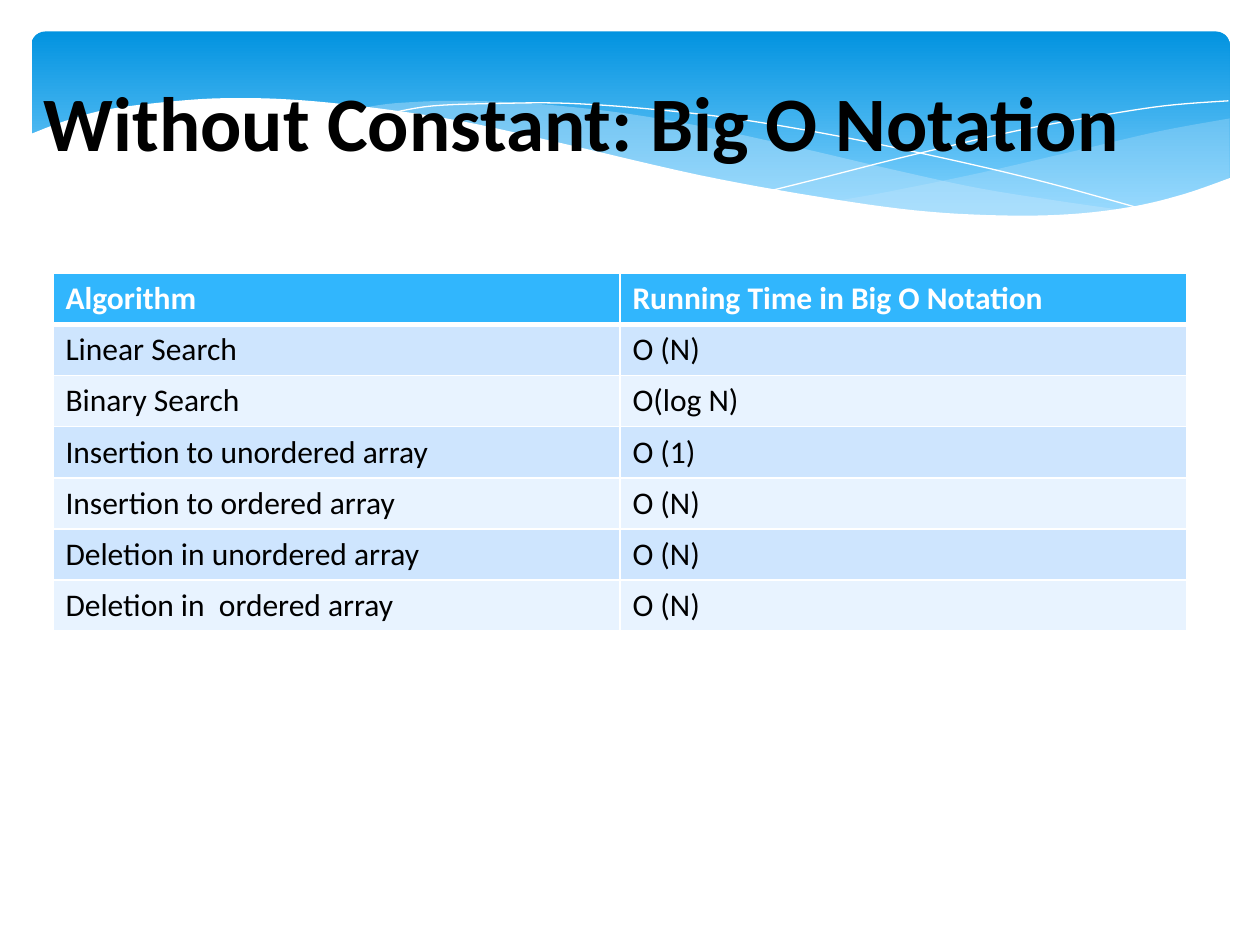
from dataclasses import dataclass
from typing import Optional

from lxml.etree import SubElement
from pptx import Presentation
from pptx.dml.color import RGBColor
from pptx.enum.shapes import MSO_SHAPE
from pptx.enum.text import MSO_ANCHOR
from pptx.oxml.ns import qn
from pptx.util import Inches, Pt

Point = tuple[float, float]


@dataclass(frozen=True)
class Theme:
    font: str = "Calibri"
    title_size: int = 44
    table_size: int = 18
    text: str = "000000"
    white: str = "FFFFFF"
    banner_top: str = "0293E0"
    banner_bottom: str = "83D3FE"
    veil: str = "C6E7FC"
    header: str = "31B6FD"
    bands: tuple[str, str] = ("CEE5FE", "E8F3FF")


@dataclass(frozen=True)
class Wave:
    """An outline made of smooth curves; filled and closed, or a hairline without fill."""
    curves: tuple[tuple[Point, ...], ...]
    fill: Optional[str] = None
    opacity: int = 100


THEME = Theme()

WAVES = (
    Wave((((9.76, 0.94), (9.21, 1.04), (8.61, 1.18), (7.79, 1.37), (7.06, 1.52), (6.61, 1.6)),
          ((6.61, 1.6), (7.19, 1.67), (7.69, 1.71), (8.14, 1.72), (8.63, 1.7), (9.05, 1.63),
           (9.42, 1.54), (9.76, 1.41))), THEME.veil, 29),
    Wave((((8.93, 1.67), (8.37, 1.59), (7.75, 1.49), (7.06, 1.34), (6.29, 1.16), (5.55, 1),
           (4.89, 0.89), (4.2, 0.82), (3.61, 0.8), (3.13, 0.82), (2.86, 0.86)),
          ((2.86, 0.86), (3.42, 0.94), (4.04, 1.06), (4.91, 1.26), (5.66, 1.43), (6.34, 1.56),
           (6.95, 1.65), (7.48, 1.7), (8.07, 1.73), (8.48, 1.72), (8.93, 1.67))), THEME.veil, 40),
    Wave((((3.09, 0.9), (3.44, 0.84), (4.01, 0.82), (4.5, 0.82), (5.1, 0.86), (5.82, 0.94),
           (6.65, 1.08), (7.6, 1.28), (8.31, 1.45), (9.07, 1.66)),)),
    Wave((((6.13, 1.51), (6.53, 1.41), (7.2, 1.24), (8.06, 1.04), (8.66, 0.93), (9.24, 0.84),
           (9.75, 0.8)),)),
    Wave((((9.77, 1.41), (9.4, 1.54), (8.99, 1.64), (8.5, 1.7), (7.93, 1.71), (7.26, 1.67),
           (6.48, 1.56), (5.55, 1.39), (4.47, 1.14), (3.65, 0.96), (2.92, 0.85), (2.3, 0.79),
           (1.77, 0.78), (1.32, 0.81), (0.85, 0.87), (0.52, 0.96), (0.23, 1.07)),
          ((0.23, 2.24), (9.77, 2.24))), THEME.white),
)

ROWS = (
    ("Algorithm", "Running Time in Big O Notation"),
    ("Linear Search", "O (N)"),
    ("Binary Search", "O(log N)"),
    ("Insertion to unordered array", "O (1)"),
    ("Insertion to ordered array", "O (N)"),
    ("Deletion in unordered array", "O (N)"),
    ("Deletion in  ordered array", "O (N)"),
)


def rgb(color: str) -> RGBColor:
    return RGBColor.from_string(color)


def format_text(frame, text: str, size: int, color: str, bold: bool) -> None:
    frame.text = text
    font = frame.paragraphs[0].runs[0].font
    for name, value in {"name": THEME.font, "size": Pt(size), "bold": bold}.items():
        setattr(font, name, value)
    font.color.rgb = rgb(color)


def smooth(anchors: tuple[Point, ...], steps: int = 6) -> list[Point]:
    """Sample a Catmull-Rom spline through the anchors."""
    padded = (anchors[0], *anchors, anchors[-1])
    samples = [anchors[0]]
    for before, start, end, after in zip(padded, padded[1:], padded[2:], padded[3:]):
        for step in range(1, steps + 1):
            t = step / steps
            samples.append(tuple(
                (2 * b + (c - a) * t + (2 * a - 5 * b + 4 * c - d) * t ** 2
                 + (3 * b - a - 3 * c + d) * t ** 3) / 2
                for a, b, c, d in zip(before, start, end, after)))
    return samples


def draw_banner(slide) -> None:
    banner = slide.shapes.add_shape(MSO_SHAPE.ROUNDED_RECTANGLE, Inches(0.25), Inches(0.25),
                                    Inches(9.51), Inches(1.56))
    banner.adjustments[0] = 0.07
    banner.shadow.inherit = False
    banner.line.fill.background()
    banner.fill.gradient()
    banner.fill.gradient_angle = 270
    stops = ((0, THEME.banner_top), (0.9, THEME.banner_bottom))
    for stop, (position, color) in zip(banner.fill.gradient_stops, stops):
        stop.position = position
        stop.color.rgb = rgb(color)


def draw_wave(slide, wave: Wave) -> None:
    outline = [(Inches(x), Inches(y)) for curve in wave.curves for x, y in smooth(curve)]
    builder = slide.shapes.build_freeform(*outline[0])
    builder.add_line_segments(outline[1:], close=wave.fill is not None)
    shape = builder.convert_to_shape()
    shape.shadow.inherit = False
    if wave.fill is None:
        shape.fill.background()
        shape.line.color.rgb = rgb(THEME.white)
        shape.line.width = Pt(0)
        return
    shape.line.fill.background()
    shape.fill.solid()
    shape.fill.fore_color.rgb = rgb(wave.fill)
    if wave.opacity < 100:
        color = shape.fill._xPr.find(qn("a:solidFill")).find(qn("a:srgbClr"))
        SubElement(color, qn("a:alpha"), val=str(wave.opacity * 1000))


def draw_title(slide, text: str) -> None:
    title = slide.shapes.add_textbox(Inches(0.25), Inches(0.33), Inches(9), Inches(1.25))
    frame = title.text_frame
    frame.word_wrap = True
    frame.vertical_anchor = MSO_ANCHOR.MIDDLE
    format_text(frame, text, THEME.title_size, THEME.text, True)


def set_borders(cell, widths: dict[str, int]) -> None:
    properties = cell._tc.get_or_add_tcPr()
    for side, width in widths.items():
        border = SubElement(properties, qn(f"a:ln{side}"), w=str(Pt(width)))
        SubElement(SubElement(border, qn("a:solidFill")), qn("a:srgbClr"), val=THEME.white)


def draw_table(slide, rows: tuple[tuple[str, str], ...]) -> None:
    table = slide.shapes.add_table(len(rows), len(rows[0]), Inches(0.42), Inches(2.17),
                                   Inches(9), Inches(2.84)).table
    for row, texts in enumerate(rows):
        is_header = row == 0
        for column, text in enumerate(texts):
            cell = table.cell(row, column)
            set_borders(cell, {"L": 1, "R": 1, "T": 3 if row == 1 else 1,
                               "B": 3 if is_header else 1})
            cell.fill.solid()
            cell.fill.fore_color.rgb = rgb(
                THEME.header if is_header else THEME.bands[(row - 1) % 2])
            format_text(cell.text_frame, text, THEME.table_size,
                        THEME.white if is_header else THEME.text, is_header)


def main() -> None:
    presentation = Presentation()
    presentation.slide_width = Inches(10)
    presentation.slide_height = Inches(7.5)
    slide = presentation.slides.add_slide(presentation.slide_layouts[6])
    draw_banner(slide)
    for wave in WAVES:
        draw_wave(slide, wave)
    draw_title(slide, "Without Constant: Big O Notation")
    draw_table(slide, ROWS)
    presentation.save("out.pptx")


if __name__ == "__main__":
    main()
